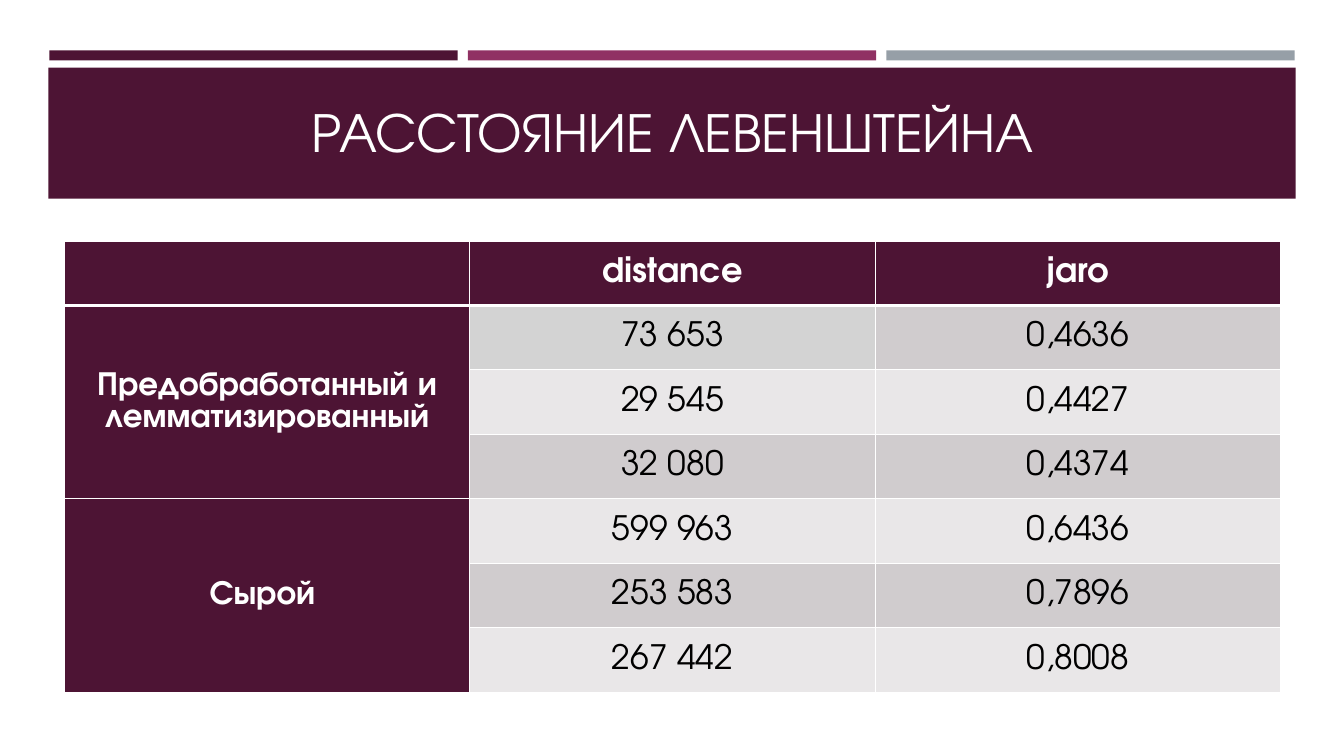
from lxml import etree
from pptx import Presentation
from pptx.dml.color import RGBColor
from pptx.enum.shapes import MSO_SHAPE
from pptx.enum.text import MSO_ANCHOR, PP_ALIGN
from pptx.oxml.ns import qn
from pptx.util import Inches, Pt

RECT = MSO_SHAPE.RECTANGLE
MIDDLE, BOTTOM = MSO_ANCHOR.MIDDLE, MSO_ANCHOR.BOTTOM
CENTER = PP_ALIGN.CENTER
FONT = "TeX Gyre Adventor"
PLUM = RGBColor(0x4D, 0x14, 0x34)
MAGENTA = RGBColor(0x90, 0x31, 0x63)
STEEL = RGBColor(0x96, 0x9F, 0xA7)
WHITE = RGBColor(0xFF, 0xFF, 0xFF)
BLACK = RGBColor(0, 0, 0)
DARK_BAND = RGBColor(0xD0, 0xCC, 0xCE)
LIGHT_BAND = RGBColor(0xE9, 0xE7, 0xE8)
ACCENT_CELL = RGBColor(0xD3, 0xD3, 0xD3)

HEADERS = ["", "distance", "jaro"]
GROUPS = [
    ("Предобработанный и лемматизированный",
     [("73 653", "0,4636"), ("29 545", "0,4427"), ("32 080", "0,4374")]),
    ("Сырой ",
     [("599 963", "0,6436"), ("253 583", "0,7896"), ("267 442", "0,8008")]),
]


def add_bar(s, x, y, w, h, color):
    bar = s.shapes.add_shape(RECT, Inches(x), Inches(y), Inches(w), Inches(h))
    bar.shadow.inherit = False
    bar.fill.solid()
    bar.fill.fore_color.rgb = color
    bar.line.fill.background()


def write(tf, text, size, color, bold=False):
    p = tf.paragraphs[0]
    p.alignment = CENTER
    r = p.add_run()
    r.text = text
    r.font.name = FONT
    r.font.size = Pt(size)
    r.font.bold = bold
    r.font.color.rgb = color


def set_title(s, text):
    title = s.shapes.title
    title.left, title.top = Inches(0.64), Inches(0.56)
    title.width, title.height = Inches(12.06), Inches(1.11)
    title.text_frame.vertical_anchor = BOTTOM
    write(title.text_frame, text, 40, WHITE)
    s.shapes._spTree.append(title._element)


def set_borders(cell, top=1, bottom=1):
    tc_pr = cell._tc.get_or_add_tcPr()
    widths = [("a:lnL", 1), ("a:lnR", 1), ("a:lnT", top), ("a:lnB", bottom)]
    for i, (tag, width) in enumerate(widths):
        ln = etree.Element(qn(tag), w=str(Pt(width)))
        fill = etree.SubElement(ln, qn("a:solidFill"))
        etree.SubElement(fill, qn("a:srgbClr"), val=str(WHITE))
        tc_pr.insert(i, ln)


def format_cell(cell, text, fill, color, bold):
    cell.fill.solid()
    cell.fill.fore_color.rgb = fill
    cell.vertical_anchor = MIDDLE
    if text:
        write(cell.text_frame, text, 24, color, bold)


def add_distance_table(s):
    rows = [HEADERS]
    for label, values in GROUPS:
        rows += [(label if i == 0 else "", *pair) for i, pair in enumerate(values)]
    table = s.shapes.add_table(len(rows), len(HEADERS), Inches(0.64), Inches(2.39),
                               Inches(12.06), Inches(4.48)).table
    for r, row in enumerate(rows):
        for c, text in enumerate(row):
            cell = table.cell(r, c)
            heading = r == 0 or c == 0
            fill = PLUM if heading else DARK_BAND if r % 2 else LIGHT_BAND
            format_cell(cell, text, fill, WHITE if heading else BLACK, heading)
            set_borders(cell, 3 if r == 1 else 1, 3 if r == 0 else 1)
    table.cell(1, 1).fill.fore_color.rgb = ACCENT_CELL
    first = 1
    for _, values in GROUPS:
        last = first + len(values) - 1
        table.cell(first, 0).merge(table.cell(last, 0))
        first = last + 1


def main():
    prs = Presentation()
    prs.slide_width, prs.slide_height = Inches(13.33), Inches(7.5)
    s = prs.slides.add_slide(prs.slide_layouts[5])
    for i, color in enumerate([PLUM, MAGENTA, STEEL]):
        add_bar(s, 0.49 + 4.15 * i, 0.5, 4.05, 0.1, color)
    add_bar(s, 0.48, 0.67, 12.37, 1.3, PLUM)
    set_title(s, "РАССТОЯНИЕ ЛЕВЕНШТЕЙНА")
    add_distance_table(s)
    prs.save("out.pptx")


if __name__ == "__main__":
    main()
